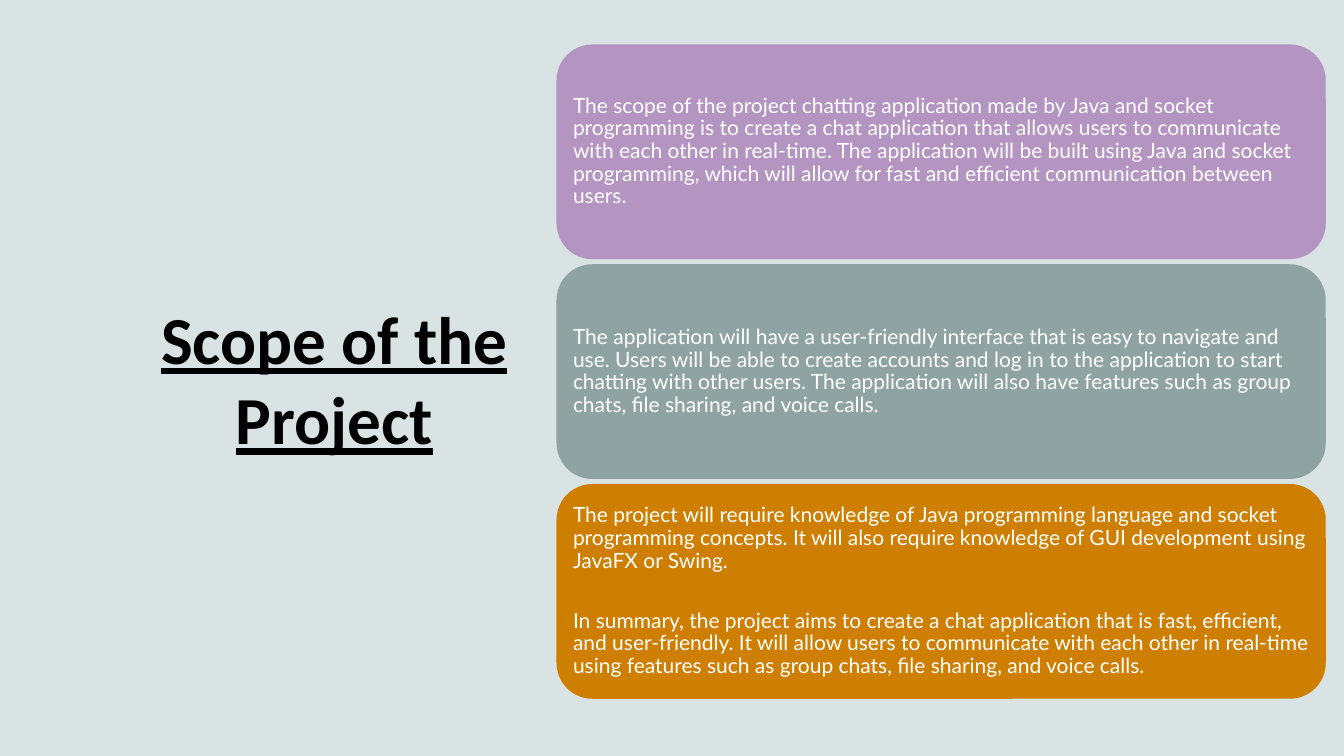
from pptx import Presentation
from pptx import util as u
from pptx.dml import color
from pptx.enum import shapes, text

BACKGROUND = color.RGBColor(0xDA, 0xE3, 0xE3)
BLACK = color.RGBColor(0x00, 0x00, 0x00)
WHITE = color.RGBColor(0xFF, 0xFF, 0xFF)
LILAC = color.RGBColor(0xB4, 0x95, 0xC2)
SAGE = color.RGBColor(0x8F, 0xA3, 0xA3)
AMBER = color.RGBColor(0xCE, 0x7F, 0x01)

CARD_LEFT, CARD_TOP = 397.5, 31.75
CARD_WIDTH, CARD_HEIGHT = 549.5, 153.4
CARD_PITCH = 157

CARDS = [
    (LILAC, [
        "The scope of the project chatting application made by Java and socket "
        "programming is to create a chat application that allows users to communicate "
        "with each other in real-time. The application will be built using Java and "
        "socket programming, which will allow for fast and efficient communication "
        "between users.",
    ]),
    (SAGE, [
        "The application will have a user-friendly interface that is easy to navigate "
        "and use. Users will be able to create accounts and log in to the application "
        "to start chatting with other users. The application will also have features "
        "such as group chats, file sharing, and voice calls.",
    ]),
    (AMBER, [
        "The project will require knowledge of Java programming language and socket "
        "programming concepts. It will also require knowledge of GUI development using "
        "JavaFX or Swing.",
        "In summary, the project aims to create a chat application that is fast, "
        "efficient, and user-friendly. It will allow users to communicate with each "
        "other in real-time using features such as group chats, file sharing, and "
        "voice calls.",
    ]),
]


def write(para, words, *, font, size, ink, align, bold=False, underline=False,
          spacing=1.0, before=0, after=0):
    para.alignment = align
    para.line_spacing = spacing
    para.space_before = u.Pt(before)
    para.space_after = u.Pt(after)
    span = para.add_run()
    span.text = words
    span.font.name = font
    span.font.size = u.Pt(size)
    span.font.bold = bold
    span.font.underline = underline
    span.font.color.rgb = ink


class ScopeSlide:
    title_style = dict(font="Calibri", size=48, ink=BLACK, bold=True, underline=True,
                       align=text.PP_ALIGN.CENTER, after=8)
    card_style = dict(font="Lato", size=15, ink=WHITE, spacing=0.9,
                      align=text.PP_ALIGN.LEFT)
    paragraph_gap = 26.6
    card_inset = 4.3

    def __init__(self, deck):
        self.page = deck.slides.add_slide(deck.slide_layouts[5])
        self.page.background.fill.solid()
        self.page.background.fill.fore_color.rgb = BACKGROUND

    def title(self, words, left, top, width, height):
        box = self.page.shapes.title
        box.left, box.top = u.Pt(left), u.Pt(top)
        box.width, box.height = u.Pt(width), u.Pt(height)
        frame = box.text_frame
        frame.word_wrap = True
        frame.auto_size = text.MSO_AUTO_SIZE.NONE
        frame.vertical_anchor = text.MSO_ANCHOR.MIDDLE
        write(frame.paragraphs[0], words, **self.title_style)

    def card(self, paragraphs, fill, left, top, width, height):
        box = self.page.shapes.add_shape(
            shapes.MSO_SHAPE.ROUNDED_RECTANGLE,
            u.Pt(left), u.Pt(top), u.Pt(width), u.Pt(height))
        box.shadow.inherit = False
        box.fill.solid()
        box.fill.fore_color.rgb = fill
        box.line.fill.background()
        frame = box.text_frame
        frame.word_wrap = True
        frame.vertical_anchor = text.MSO_ANCHOR.MIDDLE
        frame.margin_left = frame.margin_right = u.Pt(self.card_inset)
        frame.margin_top = frame.margin_bottom = u.Pt(self.card_inset)
        for index, words in enumerate(paragraphs):
            para = frame.add_paragraph() if index else frame.paragraphs[0]
            write(para, words, before=self.paragraph_gap if index else 0,
                  **self.card_style)


def main():
    deck = Presentation()
    deck.slide_width, deck.slide_height = u.Pt(960), u.Pt(540)
    slide = ScopeSlide(deck)
    slide.title("Scope of the Project", 85, 85, 307.5, 369.5)
    for row, (fill, paragraphs) in enumerate(CARDS):
        slide.card(paragraphs, fill, CARD_LEFT, CARD_TOP + row * CARD_PITCH,
                   CARD_WIDTH, CARD_HEIGHT)
    deck.save("out.pptx")


if __name__ == "__main__":
    main()
